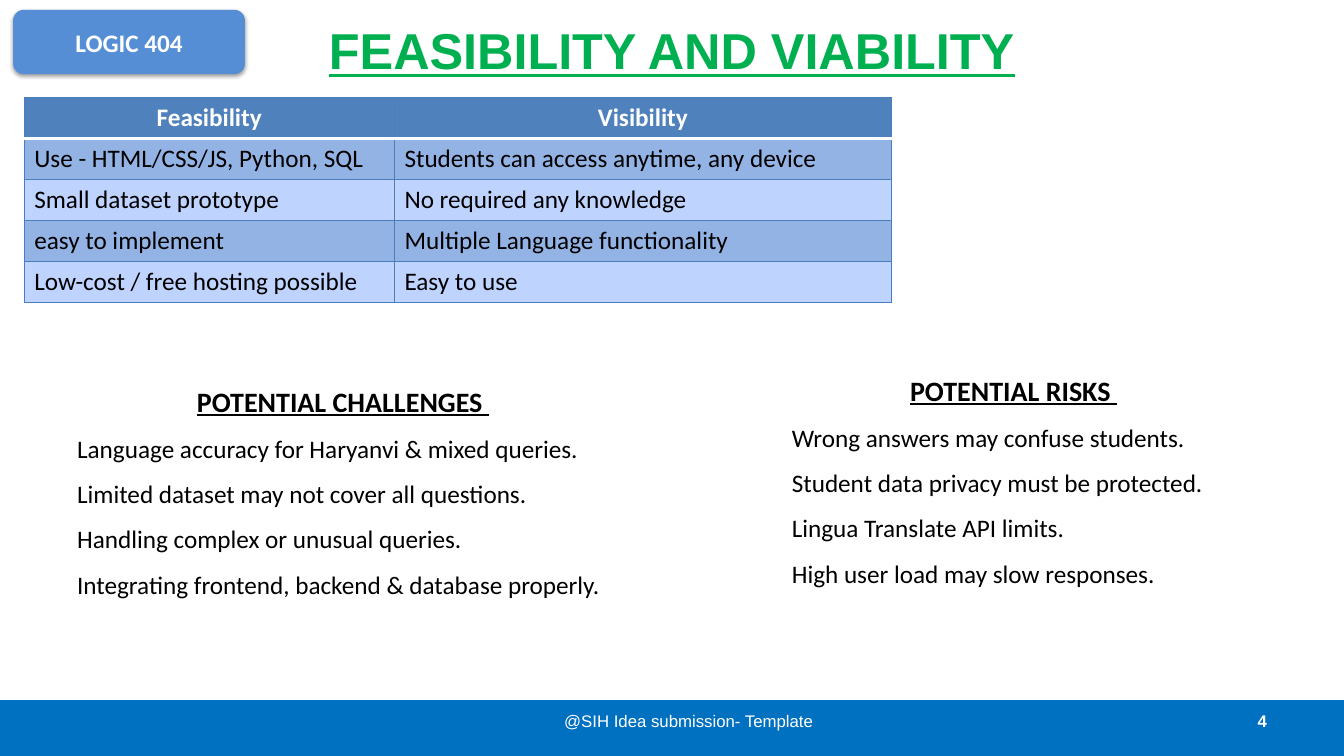
from lxml.etree import SubElement
from pptx import Presentation
from pptx.dml.color import RGBColor
from pptx.enum.shapes import MSO_SHAPE
from pptx.enum.text import MSO_ANCHOR, PP_ALIGN
from pptx.oxml.ns import qn
from pptx.util import Pt

WHITE, BLACK, GREEN = "FFFFFF", "000000", "00B050"
BAR, BADGE, HEAD, EDGE = "0070C0", "558ED5", "4F81BD", "4B7EBC"
BANDS = "94B3E5", "BFD3FF"
LEFT, MID, RIGHT = PP_ALIGN.LEFT, PP_ALIGN.CENTER, PP_ALIGN.RIGHT

GRID = [
    ("Feasibility", "Visibility"),
    ("Use - HTML/CSS/JS, Python, SQL", "Students can access anytime, any device"),
    ("Small dataset prototype", "No required any knowledge"),
    ("easy to implement", "Multiple Language functionality"),
    ("Low-cost / free hosting possible", "Easy to use"),
]
RISKS = [
    "Wrong answers may confuse students.",
    "Student data privacy must be protected.",
    "Lingua Translate API limits.",
    "High user load may slow responses.",
]
ISSUES = [
    "Language accuracy for Haryanvi & mixed queries.",
    "Limited dataset may not cover all questions.",
    "Handling complex or unusual queries.",
    "Integrating frontend, backend & database properly.",
]


def paint(target, color):
    """Give a fill one solid colour."""
    target.solid()
    target.fore_color.rgb = RGBColor.from_string(color)


def add_color(parent, color):
    return SubElement(parent, qn("a:srgbClr"), val=color)


class Page:
    def __init__(self, slide):
        self.slide = slide
        self.body = "Calibri"
        self.sans = "Arial"

    def style(self, para, size, color=BLACK, bold=False, line=False,
              align=LEFT, font=None):
        para.alignment = align
        for run in para.runs:
            face = run.font
            face.name, face.size = font or self.body, Pt(size)
            face.bold, face.underline = bold, line
            face.color.rgb = RGBColor.from_string(color)

    def title(self, text, left, top, width, height):
        shape = self.slide.shapes.title
        shape.left, shape.top = Pt(left), Pt(top)
        shape.width, shape.height = Pt(width), Pt(height)
        frame = shape.text_frame
        frame.text = text
        frame.vertical_anchor = MSO_ANCHOR.MIDDLE
        self.style(frame.paragraphs[0], 36, GREEN, True, True, MID, self.sans)

    def block(self, kind, color, *box):
        shape = self.slide.shapes.add_shape(kind, *map(Pt, box))
        shape.shadow.inherit = False
        paint(shape.fill, color)
        shape.line.fill.background()
        return shape

    def badge(self, text, *box):
        shape = self.block(MSO_SHAPE.ROUNDED_RECTANGLE, BADGE, *box)
        shape.text_frame.text = text
        shape.text_frame.vertical_anchor = MSO_ANCHOR.MIDDLE
        self.style(shape.text_frame.paragraphs[0], 18, WHITE, True, align=MID)
        glow = shape.element.spPr.find(qn("a:effectLst"))
        shade = SubElement(glow, qn("a:outerShdw"), blurRad=str(Pt(3.1)),
                           dist=str(Pt(1.6)), dir="5400000", rotWithShape="0")
        SubElement(add_color(shade, BLACK), qn("a:alpha"), val="38000")

    def frame(self, *box):
        frame = self.slide.shapes.add_textbox(*map(Pt, box)).text_frame
        frame.word_wrap = True
        return frame

    def note(self, text, align, bold, *box):
        """Add a small white text to the bottom bar."""
        frame = self.frame(*box)
        frame.vertical_anchor = MSO_ANCHOR.MIDDLE
        frame.text = text
        self.style(frame.paragraphs[0], 12, WHITE, bold, align=align,
                   font=self.sans)

    def points(self, head, items, gap, *box):
        """Add a centred heading, spaced by gap, over plain lines."""
        frame = self.frame(*box)
        frame.text = "\n".join([head, *items])
        first, *rest = frame.paragraphs
        self.style(first, 20, bold=True, line=True, align=MID)
        first.line_spacing = gap
        for para in rest:
            self.style(para, 18)
            para.line_spacing = 1.5

    def edge(self, cell, side, color, width):
        line = SubElement(cell._tc.get_or_add_tcPr(), qn("a:ln" + side),
                          w=str(Pt(width)))
        add_color(SubElement(line, qn("a:solidFill")), color)

    def table(self, grid, left, top, widths, high):
        table = self.slide.shapes.add_table(
            len(grid), len(widths), Pt(left), Pt(top),
            Pt(sum(widths)), Pt(high * len(grid))).table
        for col, width in zip(table.columns, widths):
            col.width = Pt(width)
        for r, row in enumerate(grid):
            table.rows[r].height = Pt(high)
            for c, text in enumerate(row):
                cell = table.cell(r, c)
                cell.text = text
                para = cell.text_frame.paragraphs[0]
                for side in "LRTB":
                    rule = (r, side) in ((0, "B"), (1, "T"))
                    self.edge(cell, side, *((WHITE, 2) if rule else (EDGE, 0.75)))
                if r == 0:
                    paint(cell.fill, HEAD)
                    self.style(para, 18, WHITE, True, align=MID)
                else:
                    paint(cell.fill, BANDS[(r - 1) % 2])
                    self.style(para, 18)


def main():
    deck = Presentation()
    deck.slide_width, deck.slide_height = Pt(960), Pt(540)
    page = Page(deck.slides.add_slide(deck.slide_layouts[5]))
    page.block(MSO_SHAPE.RECTANGLE, BAR, 0, 500, 960, 40)
    page.title("FEASIBILITY AND VIABILITY", 48, -9.4, 864, 90)
    page.note("4", RIGHT, True, 688, 500.5, 224, 29)
    page.note("@SIH Idea submission- Template", MID, False, 366, 500.5, 252, 29)
    page.badge("LOGIC 404", 9.4, 7, 165.6, 46)
    page.table(GRID, 17.3, 69.5, (264.5, 355), 29.3)
    page.points("POTENTIAL RISKS ", RISKS, 1, 558.5, 263, 331, 159)
    page.points("POTENTIAL CHALLENGES ", ISSUES, 1.5, 48, 259, 394, 197)
    deck.save("out.pptx")


if __name__ == "__main__":
    main()
